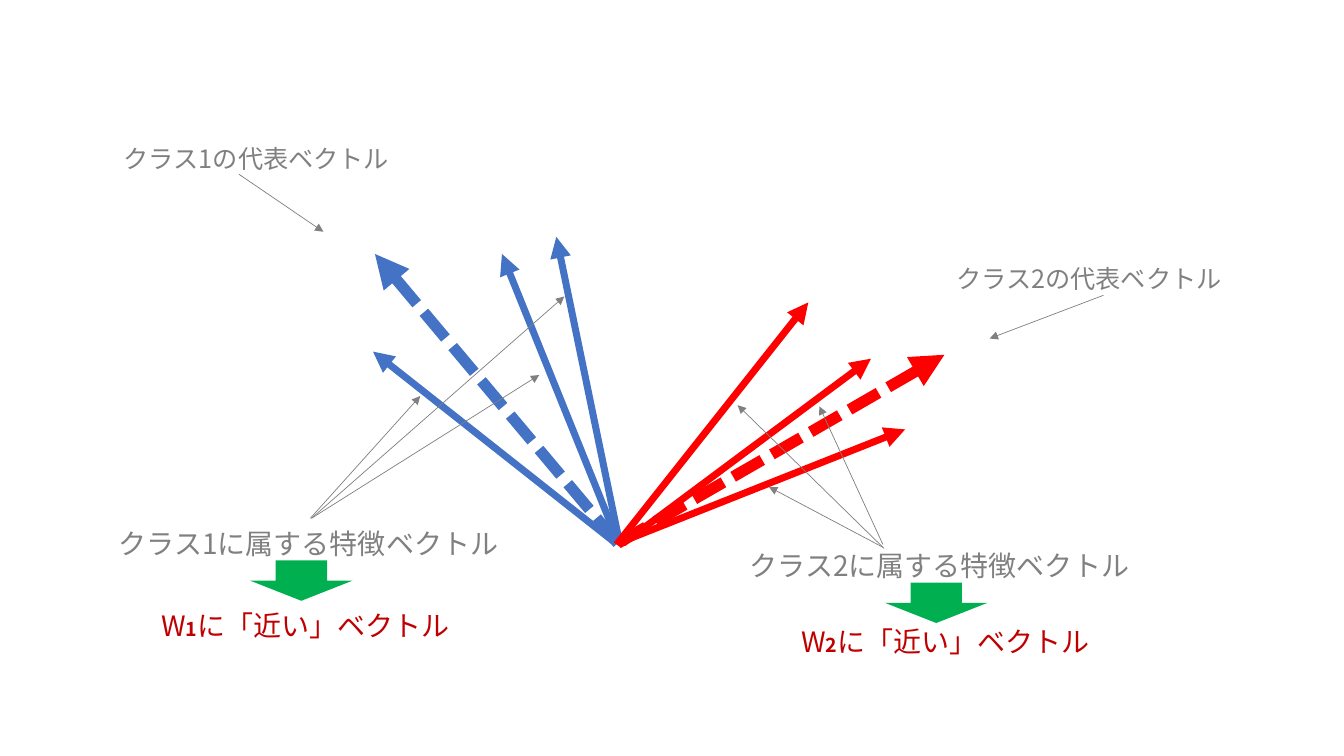
from lxml import etree
from pptx import Presentation
from pptx.dml.color import RGBColor as Rgb
from pptx.enum.dml import MSO_LINE as Dash
from pptx.enum.shapes import MSO_CONNECTOR as Link, MSO_SHAPE as Kind
from pptx.enum.text import MSO_AUTO_SIZE as Fit
from pptx.oxml.ns import qn
from pptx.util import Cm, Pt

FONT = "Noto Sans CJK JP"
HUES = {"blue": "4472C4", "red": "FF0000", "gray": "808080",
        "dark": "C00000", "green": "00B050"}

# Class vectors: hue, tip, root (cm)
MEANS = [
    ("blue", (9.45, 6.40), (15.57, 13.69)),
    ("red", (23.80, 8.94), (15.57, 13.69)),
]
VECTORS = [
    ("blue", (12.65, 6.40), (15.57, 13.64)),
    ("blue", (14.02, 5.97), (15.60, 13.61)),
    ("blue", (9.40, 8.86), (15.52, 13.69)),
    ("red", (22.81, 10.82), (15.57, 13.69)),
    ("red", (20.37, 7.62), (15.54, 13.72)),
    ("red", (21.95, 9.04), (15.70, 13.69)),
]

# Thin pointers: start, tip (cm)
POINTERS = [
    ((6.02, 4.39), (8.15, 5.84)),
    ((7.82, 13.06), (10.59, 9.98)),
    ((7.85, 13.06), (13.59, 9.45)),
    ((7.85, 13.06), (14.22, 7.47)),
    ((27.81, 7.44), (24.94, 8.53)),
    ((22.28, 13.82), (18.59, 10.21)),
    ((22.25, 13.72), (20.65, 10.24)),
    ((22.25, 13.79), (19.38, 12.27)),
]

# Labels: left, top, width (cm), hue, runs of (text, size, bold)
LABELS = [
    (2.87, 3.48, 7.62, "gray", [("クラス1の代表ベクトル", 18, False)]),
    (23.85, 6.50, 7.52, "gray", [("クラス2の代表ベクトル", 18, False)]),
    (2.74, 13.13, 10.74, "gray", [("クラス1に属する特徴ベクトル", 20, False)]),
    (18.64, 13.69, 10.74, "gray", [("クラス2に属する特徴ベクトル", 20, False)]),
    (3.81, 15.21, 11.02, "dark",
     [("W", 20, False), ("1", 14, True), ("に「近い」ベクトル", 20, False)]),
    (19.94, 15.60, 7.87, "dark",
     [("W", 20, False), ("2", 14, True), ("に「近い」ベクトル", 20, False)]),
]
BLOCKS = [(6.30, 14.12), (22.30, 14.68)]


def color(hue):
    return Rgb.from_string(HUES[hue])


def arrow(slide, start, end, hue, width, mark, dash=None):
    link = slide.shapes.add_connector(
        Link.STRAIGHT, *[Cm(v) for v in (*start, *end)])
    link.line.color.rgb = color(hue)
    link.line.width = Pt(width)
    if dash:
        link.line.dash_style = dash
    props = link._element.spPr
    etree.SubElement(props.find(qn("a:ln")), qn(mark), type="triangle")
    etree.SubElement(props, qn("a:effectLst"))


def label(slide, left, top, width, hue, runs):
    tall = 1.02 if runs[0][1] == 18 else 1.12
    box = slide.shapes.add_textbox(Cm(left), Cm(top), Cm(width), Cm(tall))
    frame = box.text_frame
    frame.word_wrap = True
    frame.auto_size = Fit.SHAPE_TO_FIT_TEXT
    for text, size, bold in runs:
        run = frame.paragraphs[0].add_run()
        run.text = text
        font = run.font
        font.size, font.bold, font.name = Pt(size), bold, FONT
        font.color.rgb = color(hue)
        latin = run._r.rPr.find(qn("a:latin"))
        east = etree.Element(qn("a:ea"), typeface=FONT)
        latin.addnext(east)


def main():
    deck = Presentation()
    deck.slide_width, deck.slide_height = Cm(33.87), Cm(19.05)
    slide = deck.slides.add_slide(deck.slide_layouts[6])

    # Vectors, dashed for the class means
    for hue, tip, root in MEANS:
        arrow(slide, tip, root, hue, 8, "a:headEnd", Dash.SQUARE_DOT)
    for hue, tip, root in VECTORS:
        arrow(slide, tip, root, hue, 5, "a:headEnd")

    # Pointers and labels
    for start, tip in POINTERS:
        arrow(slide, start, tip, "gray", 0.5, "a:tailEnd")
    for item in LABELS:
        label(slide, *item)

    # Green block arrows
    for left, top in BLOCKS:
        block = slide.shapes.add_shape(
            Kind.DOWN_ARROW, Cm(left), Cm(top), Cm(2.59), Cm(1.02))
        block.shadow.inherit = False
        block.fill.solid()
        block.fill.fore_color.rgb = color("green")
        block.line.fill.background()

    deck.save("out.pptx")


if __name__ == "__main__":
    main()
